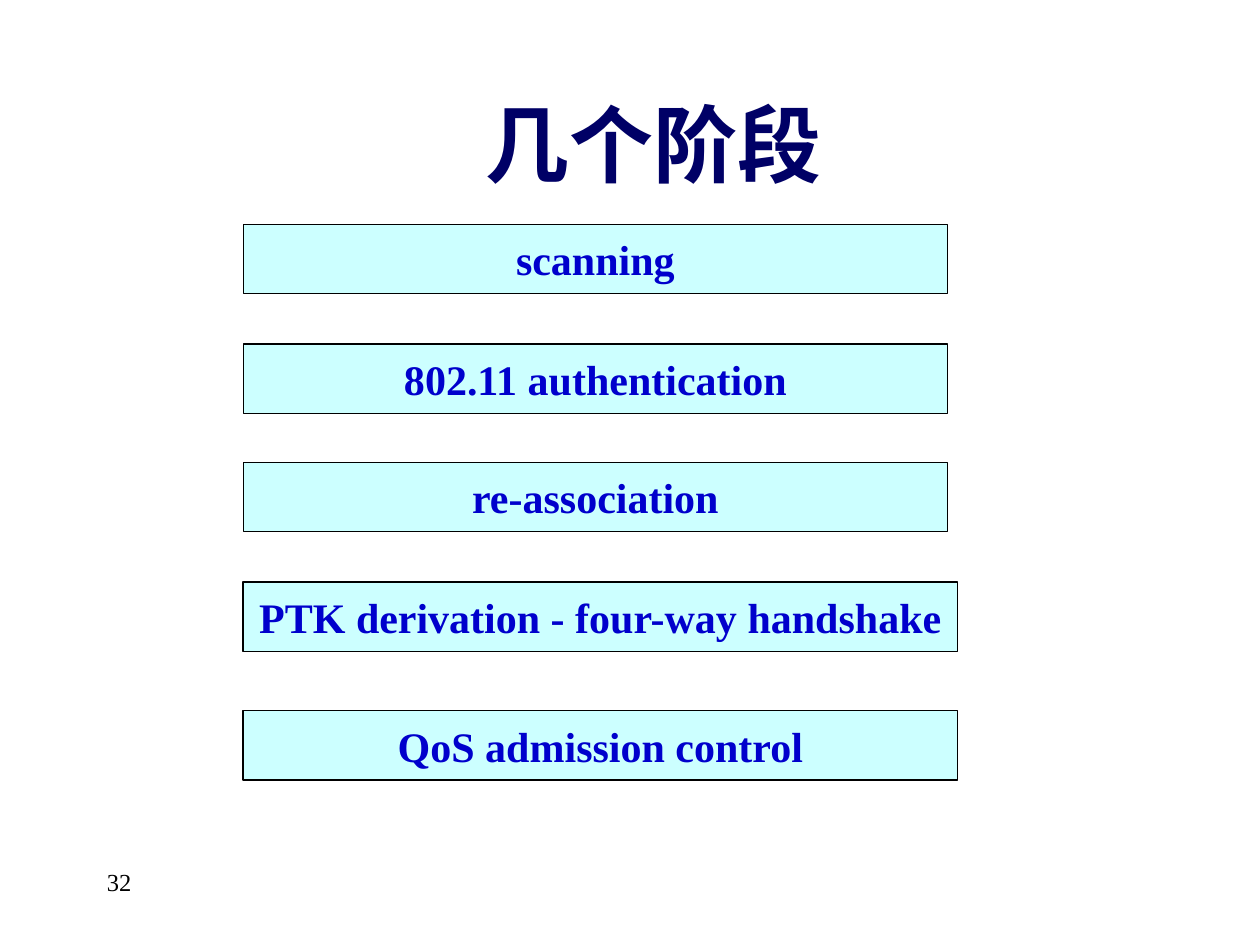
from pptx import Presentation
from pptx.dml.color import RGBColor
from pptx.enum.shapes import MSO_SHAPE
from pptx.enum.text import MSO_ANCHOR, PP_ALIGN
from pptx.util import Inches, Pt

RECT = MSO_SHAPE.RECTANGLE
TOP, MIDDLE = MSO_ANCHOR.TOP, MSO_ANCHOR.MIDDLE
LEFT, CENTER = PP_ALIGN.LEFT, PP_ALIGN.CENTER

FONT = "Times New Roman"
NUMBER = {"name": FONT, "size": Pt(14), "bold": False}
TITLE = {"name": FONT, "size": Pt(48), "bold": True}
STAGE = {"name": FONT, "size": Pt(24), "bold": True}

STAGE_LEFT, STAGE_HIGH = 1.93, 0.55
NARROW, WIDE = 5.59, 5.67
STAGES = [
    ("scanning", 1.78, NARROW),
    ("802.11 authentication", 2.73, NARROW),
    ("re-association", 3.67, NARROW),
    ("PTK derivation - four-way handshake", 4.62, WIDE),
    ("QoS admission control", 5.64, WIDE),
]


def color(value):
    return RGBColor.from_string(value)


def write(shape, text, style, ink, align, anchor, wrap=True):
    frame = shape.text_frame
    frame.word_wrap = wrap
    frame.vertical_anchor = anchor
    para = frame.paragraphs[0]
    para.alignment = align
    run = para.add_run()
    run.text = text
    for name, value in style.items():
        setattr(run.font, name, value)
    run.font.color.rgb = color(ink)


def add_label(slide, box, *format):
    label = slide.shapes.add_textbox(*map(Inches, box))
    write(label, *format)


def add_stage(slide, text, top, width):
    box = (STAGE_LEFT, top, width, STAGE_HIGH)
    stage = slide.shapes.add_shape(RECT, *map(Inches, box))
    stage.shadow.inherit = False
    stage.fill.solid()
    stage.fill.fore_color.rgb = color("CCFFFF")
    stage.line.color.rgb = color("000000")
    stage.line.width = Pt(0.75)
    write(stage, text, STAGE, "0000CC", CENTER, MIDDLE, False)


def main():
    deck = Presentation()
    deck.slide_width, deck.slide_height = Inches(10), Inches(7.5)
    slide = deck.slides.add_slide(deck.slide_layouts[6])
    add_label(slide, (0.75, 6.83, 2.08, 0.5), "32", NUMBER, "000000", LEFT, TOP)
    add_label(slide, (0.62, 0.67, 9.14, 0.92), "几个阶段", TITLE, "000066", CENTER, MIDDLE)
    for stage in STAGES:
        add_stage(slide, *stage)
    deck.save("out.pptx")


if __name__ == "__main__":
    main()
